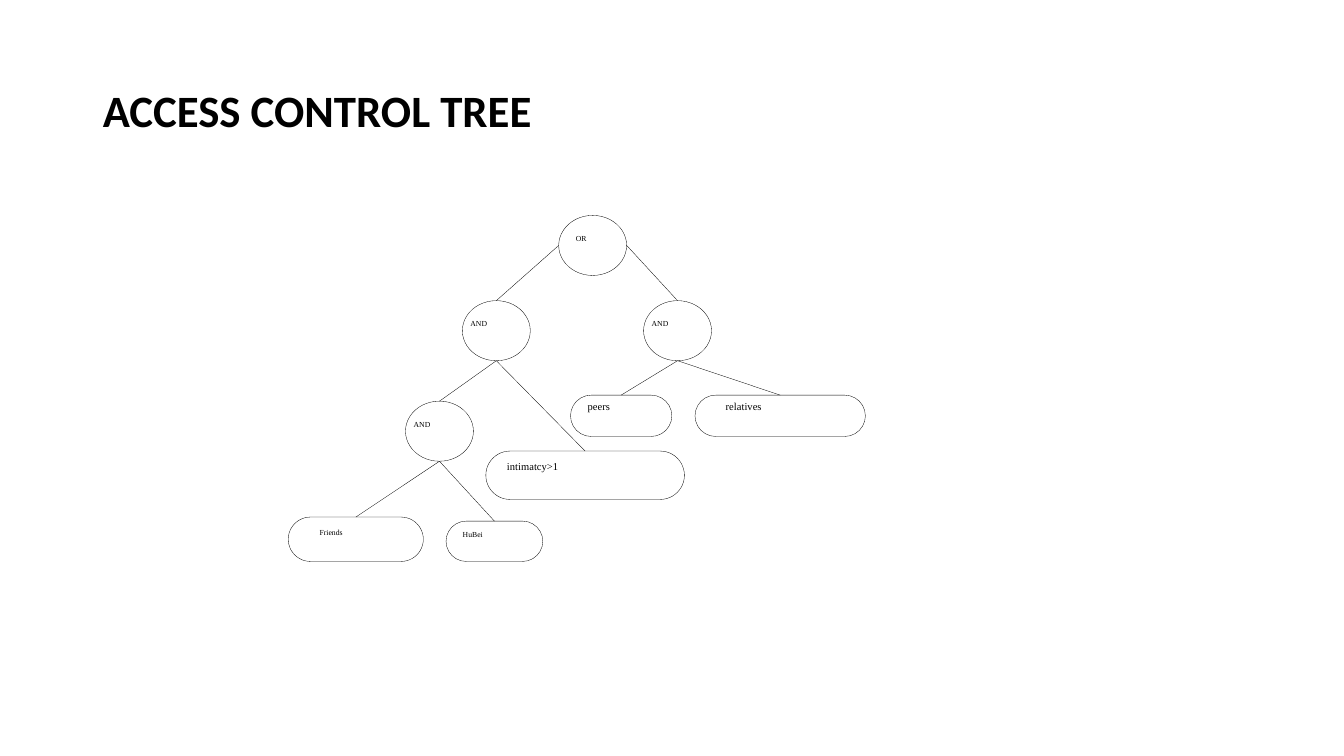
"""Build a slide that shows an access control tree."""
from dataclasses import dataclass

from lxml import etree
from pptx import Presentation
from pptx.dml.color import RGBColor
from pptx.enum.shapes import MSO_CONNECTOR, MSO_SHAPE
from pptx.enum.text import MSO_ANCHOR, MSO_AUTO_SIZE, PP_ALIGN
from pptx.oxml.ns import qn
from pptx.util import Inches, Length, Pt

OVAL, PILL = MSO_SHAPE.OVAL, MSO_SHAPE.ROUNDED_RECTANGLE
STRAIGHT = MSO_CONNECTOR.STRAIGHT
TOP, MIDDLE = MSO_ANCHOR.TOP, MSO_ANCHOR.MIDDLE
LEFT, NO_FIT = PP_ALIGN.LEFT, MSO_AUTO_SIZE.NONE

COLS, ROWS = 133.33, 75
GATE_W, GATE_H = 6.74, 5.96


@dataclass(frozen=True)
class Theme:
    """Colours, fonts and type sizes of the slide."""
    ink: RGBColor = RGBColor(0, 0, 0)
    title_font: str = "Calibri"
    label_font: str = "Times New Roman"
    title: float = 32
    small: float = 5.5
    large: float = 7.5
    hairline: float = 0.22


THEME = Theme()


@dataclass(frozen=True)
class Node:
    """A gate or leaf in grid units, with its label's offset and box."""
    text: str
    left: float
    top: float
    dx: float
    dy: float
    label_w: float
    label_h: float = 3.1
    width: float = GATE_W
    height: float = GATE_H
    size: float = THEME.small
    shape: MSO_SHAPE = OVAL

    def point(self, fx: float, fy: float) -> tuple[float, float]:
        """Return the grid point at the given shares of the node's box."""
        return self.left + fx * self.width, self.top + fy * self.height


@dataclass(frozen=True)
class Edge:
    """A branch from a point on the parent to the top of the child."""
    parent: str
    child: str
    start: tuple[float, float] = (0.5, 1)


NODES = {
    "left": Node("AND", 45.87, 29.83, 0.8, 1.75, 6.8),
    "root": Node("OR", 55.43, 21.37, 1.7, 1.75, 4.4),
    "inner": Node("AND", 40.23, 39.8, 0.8, 1.75, 6.8),
    "right": Node("AND", 63.85, 29.83, 0.8, 1.75, 6.8),
    "friends": Node("Friends", 28.6, 51.3, 3.1, 1.0, 9.5,
                    width=13.4, height=4.4, shape=PILL),
    "intimacy": Node("intimatcy>1", 48.2, 44.75, 2.1, 0.75, 20.4, 4.1,
                     19.7, 4.8, THEME.large, PILL),
    "hubei": Node("HuBei", 44.25, 51.7, 1.65, 0.8, 8.2,
                  width=9.6, height=4.0, shape=PILL),
    "relatives": Node("relatives", 68.95, 39.2, 3.05, 0.4, 14.3, 4.1,
                      16.9, 4.1, THEME.large, PILL),
    "peers": Node("peers", 56.6, 39.2, 1.7, 0.4, 8.9, 4.1,
                  10.05, 4.1, THEME.large, PILL),
}

EDGES = [
    Edge("root", "left", (0, 0.5)),
    Edge("root", "right", (1, 0.5)),
    Edge("right", "relatives"),
    Edge("right", "peers"),
    Edge("left", "intimacy"),
    Edge("left", "inner"),
    Edge("inner", "friends"),
    Edge("inner", "hubei"),
]


def grid(*units: float) -> list[Length]:
    """Convert grid units of a tenth of an inch to lengths."""
    return [Inches(u / 10) for u in units]


def apply(target, formats: dict) -> None:
    """Set each named attribute of the target."""
    for name, value in formats.items():
        setattr(target, name, value)


def write(tf, text: str, font: str, size: float, bold: bool,
          frame: dict, paragraph: dict) -> None:
    """Put one formatted run into a text frame."""
    apply(tf, {"word_wrap": True, "auto_size": NO_FIT, **frame})
    p = tf.paragraphs[0]
    apply(p, {"alignment": LEFT, **paragraph})
    r = p.add_run()
    r.text = text
    apply(r.font, {"name": font, "size": Pt(size), "bold": bold})
    r.font.color.rgb = THEME.ink


def outline(sp) -> None:
    """Give a shape or connector the hairline in ink."""
    sp.line.color.rgb = THEME.ink
    sp.line.width = Pt(THEME.hairline)


def add_title(s, text: str) -> None:
    """Place the title placeholder and fill it."""
    sp = s.shapes.title
    apply(sp, dict(zip(("left", "top", "width", "height"),
                       grid(9.2, 4, 115, 14.5))))
    write(sp.text_frame, text, THEME.title_font, THEME.title, True,
          {"vertical_anchor": MIDDLE}, {"line_spacing": 0.9})


def add_node(s, node: Node) -> None:
    """Draw a node's outline and its label."""
    sp = s.shapes.add_shape(
        node.shape, *grid(node.left, node.top, node.width, node.height))
    sp.shadow.inherit = False
    sp.fill.background()
    outline(sp)
    if node.shape == PILL:
        sp.adjustments[0] = 0.5
    label = s.shapes.add_textbox(
        *grid(node.left + node.dx, node.top + node.dy,
              node.label_w, node.label_h))
    margins = {f"margin_{side}": 0
               for side in ("left", "top", "right", "bottom")}
    write(label.text_frame, node.text, THEME.label_font, node.size, False,
          {"vertical_anchor": TOP, **margins},
          {"line_spacing": 1.07, "space_after": Pt(8)})


def add_edge(s, edge: Edge) -> None:
    """Draw a branch between two nodes."""
    start = NODES[edge.parent].point(*edge.start)
    end = NODES[edge.child].point(0.5, 0)
    sp = s.shapes.add_connector(STRAIGHT, *grid(*start, *end))
    outline(sp)
    etree.SubElement(sp._element.spPr, qn("a:effectLst"))


def main() -> None:
    """Build the slide and save it."""
    prs = Presentation()
    prs.slide_width, prs.slide_height = grid(COLS, ROWS)
    s = prs.slides.add_slide(prs.slide_layouts[5])
    add_title(s, "ACCESS CONTROL TREE")
    for node in NODES.values():
        add_node(s, node)
    for edge in EDGES:
        add_edge(s, edge)
    prs.save("out.pptx")


if __name__ == "__main__":
    main()
